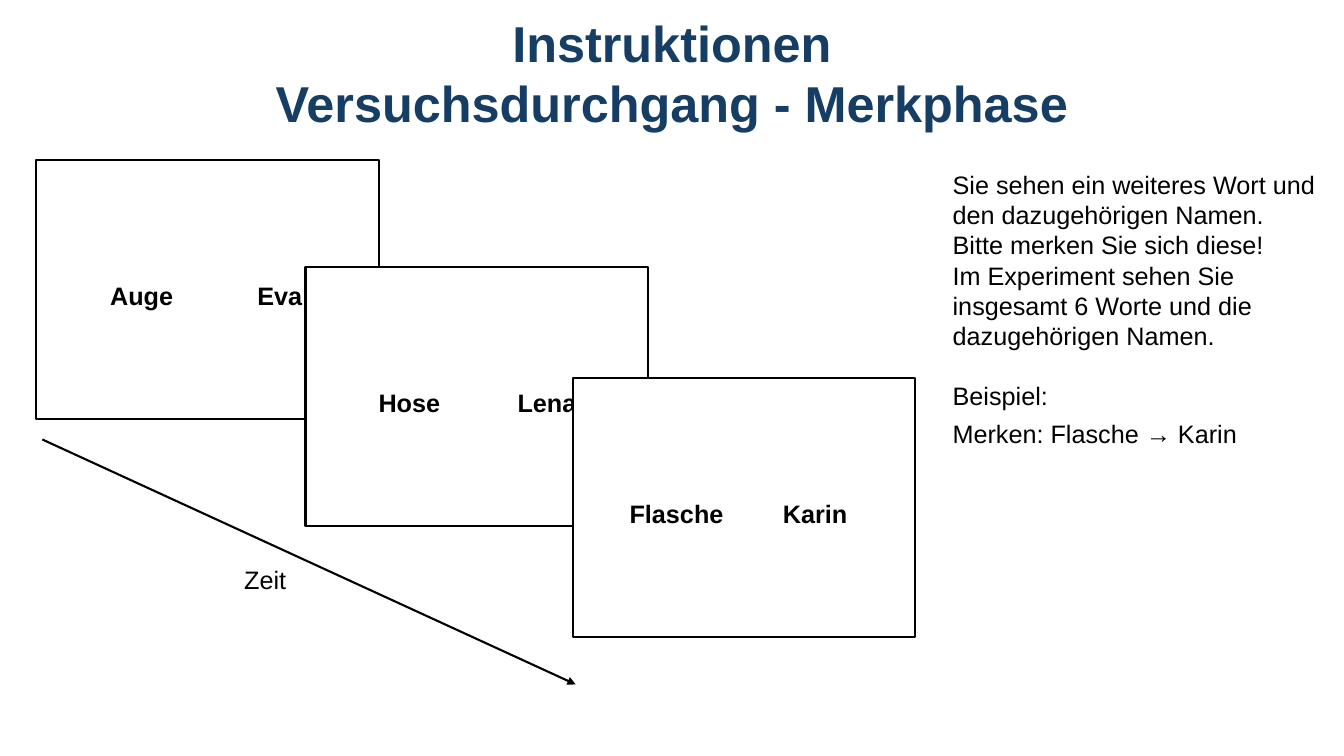
from lxml import etree
from pptx import Presentation
from pptx.dml.color import RGBColor as RGB
from pptx.enum.shapes import MSO_CONNECTOR as CONN, MSO_SHAPE as SHAPE
from pptx.enum.text import MSO_ANCHOR as ANCHOR, MSO_AUTO_SIZE as AUTO, PP_ALIGN as ALIGN
from pptx.oxml.ns import qn
from pptx.util import Inches, Pt

COLORS = {"text": "000000", "title": "163E64", "card": "FFFFFF"}
BODY = {"name": "Arial", "size": Pt(18), "bold": False}
LABEL = {**BODY, "bold": True}
TITLE = {**LABEL, "size": Pt(36)}


def write(s, lines, fmt, color="text", align=ALIGN.CENTER, wrap=True):
    tf = s.text_frame
    tf.text = "\n".join(lines)
    tf.word_wrap = wrap
    tf.auto_size = AUTO.SHAPE_TO_FIT_TEXT
    tf.vertical_anchor = ANCHOR.TOP
    for p in tf.paragraphs:
        p.alignment = align
        for r in p.runs:
            for key, value in fmt.items():
                setattr(r.font, key, value)
            r.font.color.rgb = RGB.from_string(COLORS[color])
    return tf.paragraphs


def box(*lengths):
    return [Inches(v) for v in lengths]


prs = Presentation()
prs.slide_width, prs.slide_height = box(13.33, 7.5)
slide = prs.slides.add_slide(prs.slide_layouts[5])
shapes = slide.shapes

# Title
title = shapes.title
title.left, title.top, title.width, title.height = box(0.08, 0.07, 13.17, 1.31)
write(title, ["Instruktionen", "Versuchsdurchgang - Merkphase"], TITLE, "title")

# Instructions on the right
paras = write(shapes.add_textbox(*box(9.35, 1.63, 3.81, 2.91)), [
    "Sie sehen ein weiteres Wort und den dazugehörigen Namen. Bitte merken Sie sich diese!",
    "Im Experiment sehen Sie insgesamt 6 Worte und die dazugehörigen Namen.",
    "Beispiel:",
    "Merken: Flasche → Karin",
], BODY, align=ALIGN.LEFT)
paras[2].space_before = Pt(21)
paras[2].space_after = Pt(6)

# Time arrow
arrow = shapes.add_connector(CONN.STRAIGHT, *box(0.42, 4.36, 5.71, 6.79))
arrow.line.color.rgb = RGB.from_string(COLORS["text"])
arrow.line.width = Pt(1.5)
etree.SubElement(arrow.line._get_or_add_ln(), qn("a:tailEnd"), type="triangle")
etree.SubElement(arrow._element.spPr, qn("a:effectLst"))
write(shapes.add_textbox(*box(1.79, 5.55, 1.68, 0.4)), ["Zeit"], BODY)

# Overlapping cards, each with a word and a name: (text, left, width)
CARD_W, CARD_H, LABEL_H = 3.4, 2.57, 0.4
cards = [
    (0.36, 1.59, [("Auge", 0.99, 0.83), ("Eva", 2.45, 0.65)]),
    (3.03, 2.65, [("Hose", 3.65, 0.82), ("Lena", 5.03, 0.79)]),
    (5.68, 3.75, [("Flasche", 6.14, 1.14), ("Karin", 7.66, 0.85)]),
]
for left, top, labels in cards:
    group = shapes.add_group_shape().shapes
    card = group.add_shape(SHAPE.RECTANGLE, *box(left, top, CARD_W, CARD_H))
    card.shadow.inherit = False
    card.fill.solid()
    card.fill.fore_color.rgb = RGB.from_string(COLORS["card"])
    card.line.color.rgb = RGB.from_string(COLORS["text"])
    card.line.width = Pt(1.5)
    label_top = top + (CARD_H + LABEL_H / 2 - LABEL_H) / 2 - 0.04
    for text, x, width in labels:
        s = group.add_textbox(*box(x, label_top, width, LABEL_H))
        write(s, [text], LABEL, wrap=False)

prs.save("out.pptx")
